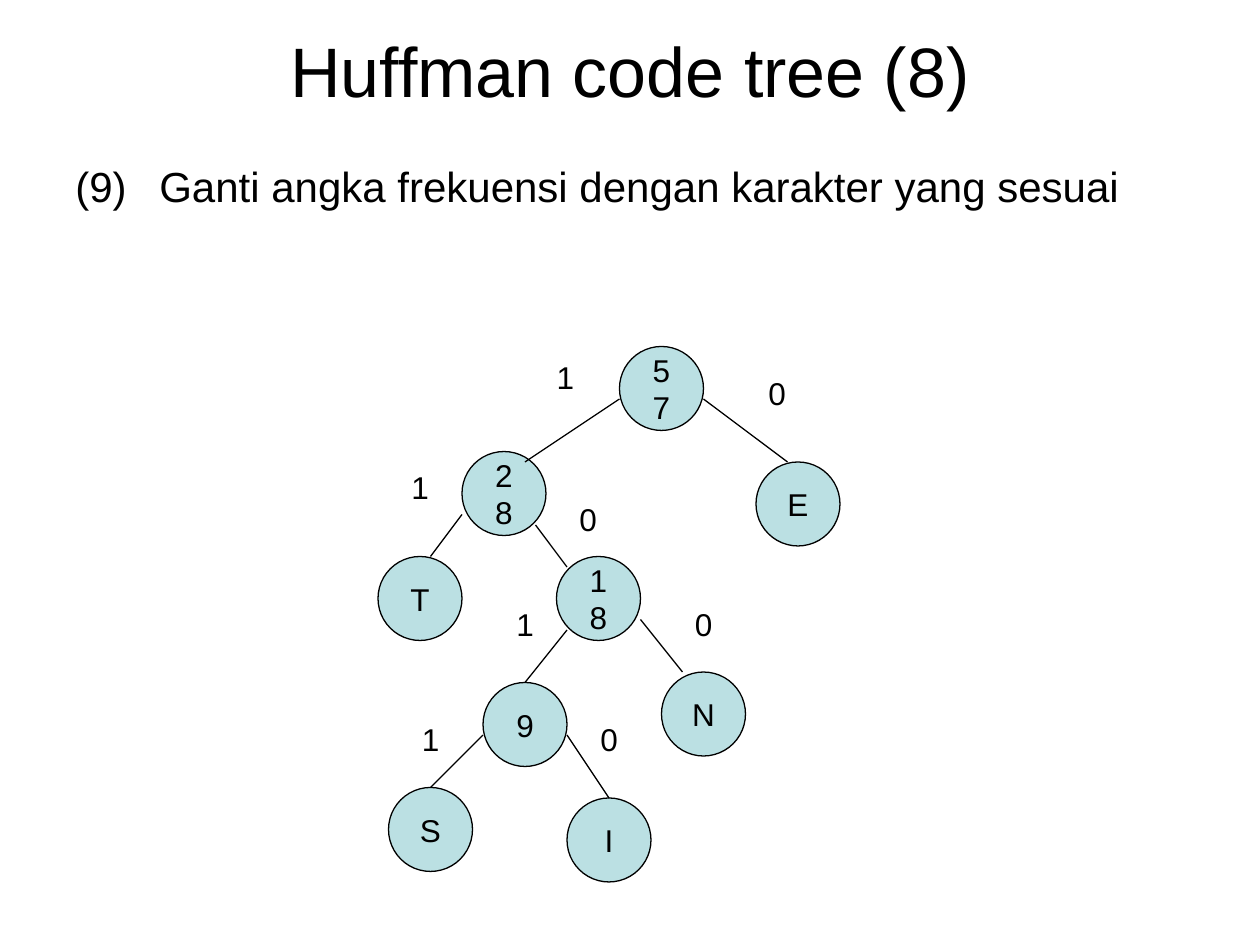
from lxml import etree
from pptx import Presentation
from pptx.dml.color import RGBColor
from pptx.enum import shapes, text
from pptx.oxml.ns import qn
from pptx.util import Pt

TITLE = "Huffman code tree (8)"
STEP = "(9)\tGanti angka frekuensi dengan karakter yang sesuai"

NODES = {
    "57": (354, 198),
    "28": (264, 258),
    "E": (432, 264),
    "T": (216, 318),
    "18": (318, 318),
    "N": (378, 384),
    "9": (276, 390),
    "S": (222, 450),
    "I": (324, 456),
}
# child, bit, line start, line end, bit position
EDGES = [
    ("28", "1", (354, 228), (300, 264), (311, 201)),
    ("E", "0", (402, 228), (450, 264), (432, 210)),
    ("T", "1", (264, 294), (246, 318), (228, 264)),
    ("18", "0", (306, 300), (324, 324), (324, 282)),
    ("9", "1", (324, 360), (300, 390), (288, 342)),
    ("N", "0", (366, 354), (390, 384), (390, 342)),
    ("S", "1", (276, 420), (246, 450), (234, 408)),
    ("I", "0", (324, 420), (348, 456), (336, 408)),
]
THEME = {
    "font": "Arial",
    "ink": RGBColor(0, 0, 0),
    "node": RGBColor(0xBB, 0xE0, 0xE3),
    "title": 40,
    "body": 24,
    "label": 18,
    "line": 0.75,
}
DIAMETER = 48
BIT_SIZE = (24.5, 28.8)
HANG = 48


def write(sp, content, size, align=text.PP_ALIGN.LEFT,
          anchor=text.MSO_ANCHOR.TOP, hang=0):
    tf = sp.text_frame
    tf.word_wrap = True
    tf.vertical_anchor = anchor
    p = tf.paragraphs[0]
    p.alignment = align
    if hang:
        pPr = p._p.get_or_add_pPr()
        pPr.set("marL", str(Pt(hang)))
        pPr.set("indent", str(-Pt(hang)))
    r = p.add_run()
    r.text = content
    r.font.name = THEME["font"]
    r.font.size = Pt(size)
    r.font.color.rgb = THEME["ink"]


def add_box(s, x, y, w, h, content, size, **fmt):
    sp = s.shapes.add_textbox(Pt(x), Pt(y), Pt(w), Pt(h))
    write(sp, content, size, **fmt)


def add_node(s, name, x, y):
    sp = s.shapes.add_shape(shapes.MSO_SHAPE.OVAL, Pt(x), Pt(y),
                            Pt(DIAMETER), Pt(DIAMETER))
    sp.shadow.inherit = False
    sp.fill.solid()
    sp.fill.fore_color.rgb = THEME["node"]
    sp.line.color.rgb = THEME["ink"]
    sp.line.width = Pt(THEME["line"])
    write(sp, name, THEME["label"], align=text.PP_ALIGN.CENTER,
          anchor=text.MSO_ANCHOR.MIDDLE)
    return sp


def add_edge(s, start, end, child):
    c = s.shapes.add_connector(shapes.MSO_CONNECTOR.STRAIGHT,
                               *(Pt(v) for v in start + end))
    c.line.color.rgb = THEME["ink"]
    c.line.width = Pt(THEME["line"])
    etree.SubElement(c._element.spPr, qn("a:effectLst"))
    if (Pt(end[0]), Pt(end[1])) == (child.left + child.width // 2, child.top):
        c.end_connect(child, 0)


def main():
    prs = Presentation()
    prs.slide_width, prs.slide_height = Pt(720), Pt(540)
    s = prs.slides.add_slide(prs.slide_layouts[6])

    add_box(s, 36, 12, 648, 56, TITLE, THEME["title"],
            align=text.PP_ALIGN.CENTER, anchor=text.MSO_ANCHOR.MIDDLE)
    add_box(s, 36, 88, 648, 452, STEP, THEME["body"], hang=HANG)

    nodes = {name: add_node(s, name, *at) for name, at in NODES.items()}
    for child, bit, start, end, at in EDGES:
        add_edge(s, start, end, nodes[child])
        add_box(s, *at, *BIT_SIZE, bit, THEME["label"])

    prs.save("out.pptx")


if __name__ == "__main__":
    main()
